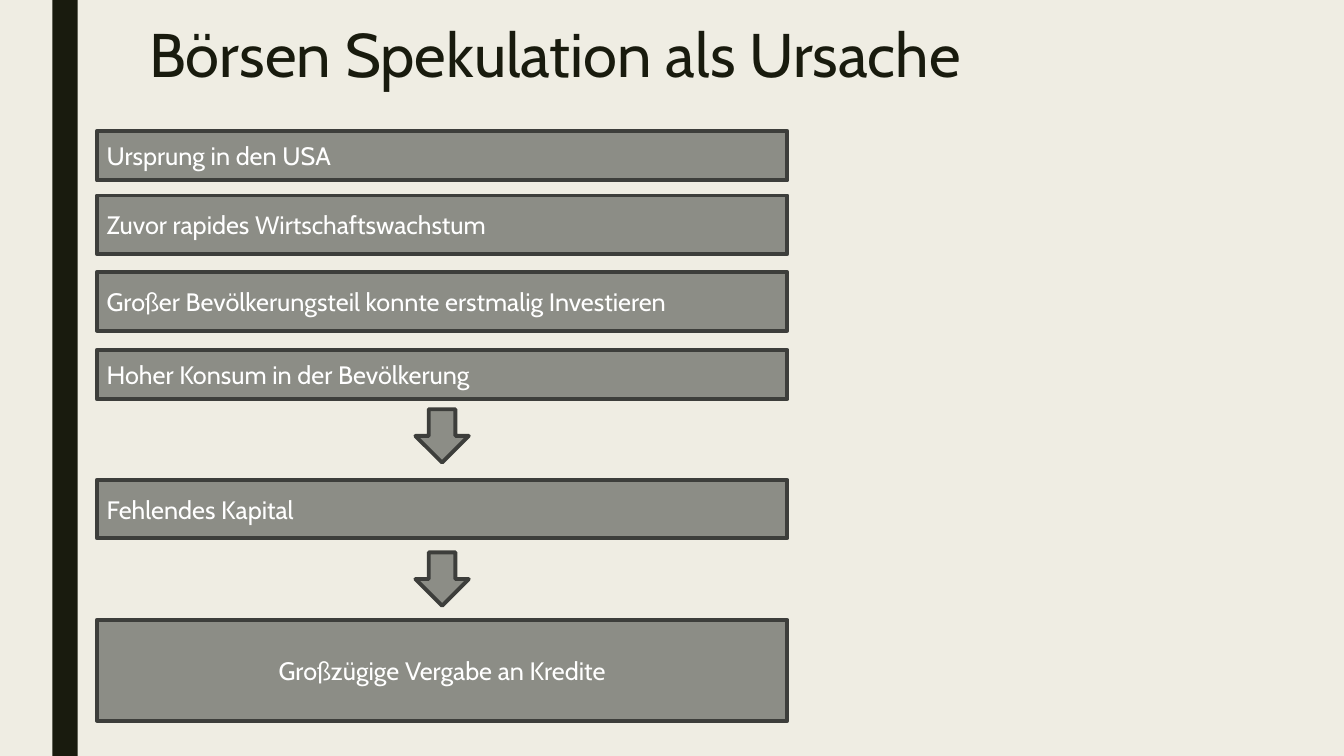
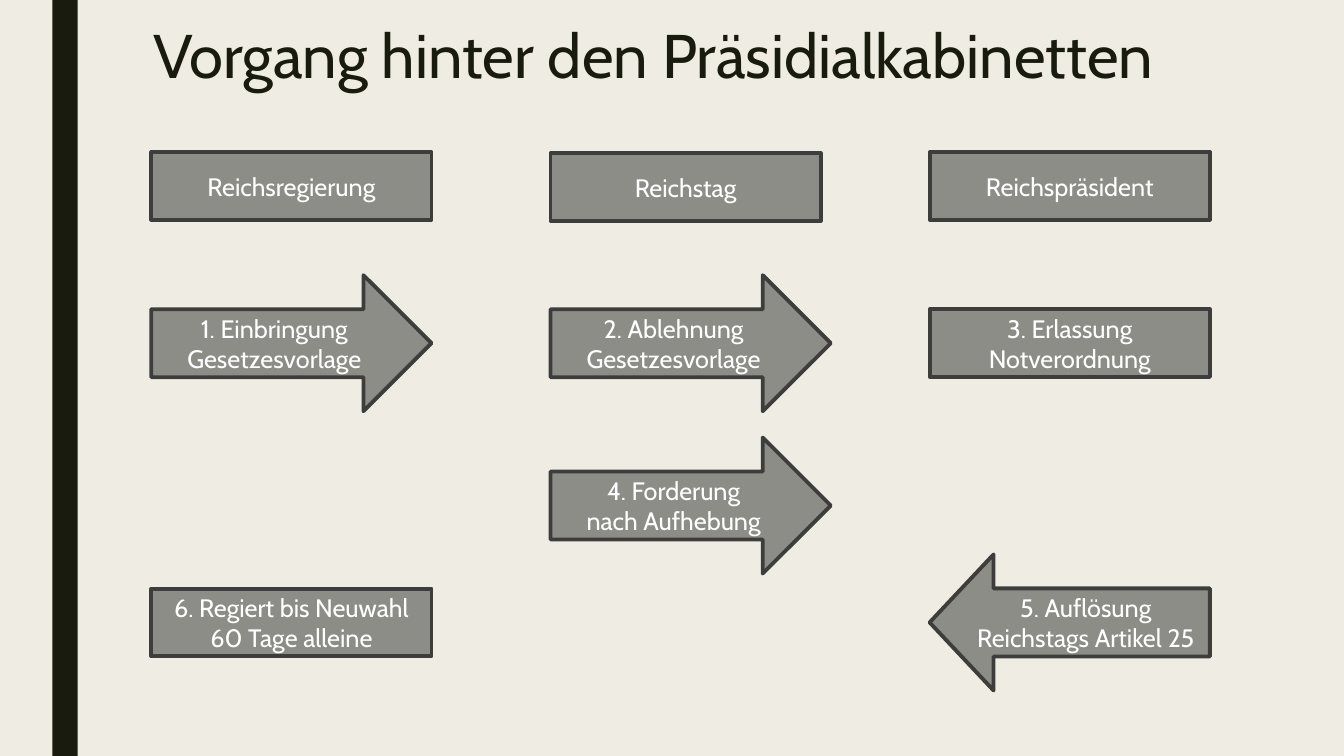
from dataclasses import dataclass

from pptx import Presentation
from pptx.dml.color import RGBColor
from pptx.enum.shapes import MSO_SHAPE
from pptx.enum.text import MSO_ANCHOR, PP_ALIGN
from pptx.util import Pt

EMU_PER_PX = 9144  # 100 px to the inch
PAGE_WIDTH, PAGE_HEIGHT = 1333, 750


@dataclass(frozen=True)
class Theme:
    background: RGBColor = RGBColor.from_string("EFEDE3")
    dark: RGBColor = RGBColor.from_string("191B0E")
    fill: RGBColor = RGBColor.from_string("8C8D86")
    outline: RGBColor = RGBColor.from_string("3D3E3B")
    light: RGBColor = RGBColor.from_string("FFFFFF")
    font: str = "Cabin"
    title_size: Pt = Pt(44)
    text_size: Pt = Pt(18)
    outline_width: Pt = Pt(2.75)


THEME = Theme()


def px(*lengths):
    return [length * EMU_PER_PX for length in lengths]


def format_text(frame, size, color, align):
    frame.word_wrap = True
    for para in frame.paragraphs:
        para.alignment = align
        for span in para.runs:
            span.font.name = THEME.font
            span.font.size = size
            span.font.color.rgb = color


def add_band(page, layout):
    """Set the background and side band on the layout all pages share."""
    background = layout.background.fill
    background.solid()
    background.fore_color.rgb = THEME.background
    band = page.shapes.add_shape(MSO_SHAPE.RECTANGLE, *px(52, 0, 25, PAGE_HEIGHT))
    band.shadow.inherit = False
    band.fill.solid()
    band.fill.fore_color.rgb = THEME.dark
    band.line.fill.background()
    band.element.nvSpPr.cNvPr.id = 20
    layout.element.cSld.spTree.append(band.element)


def set_title(page, text, left, top, width, height):
    title = page.shapes.title
    title.left, title.top, title.width, title.height = px(left, top, width, height)
    frame = title.text_frame
    frame.text = text
    frame.vertical_anchor = MSO_ANCHOR.TOP
    frame.paragraphs[0].line_spacing = 0.89
    format_text(frame, THEME.title_size, THEME.dark, PP_ALIGN.LEFT)


def add_box(page, kind, left, top, width, height, text="", align=PP_ALIGN.CENTER):
    box = page.shapes.add_shape(kind, *px(left, top, width, height))
    box.shadow.inherit = False
    box.fill.solid()
    box.fill.fore_color.rgb = THEME.fill
    box.line.color.rgb = THEME.outline
    box.line.width = THEME.outline_width
    if text:
        box.text_frame.text = text
        box.text_frame.vertical_anchor = MSO_ANCHOR.MIDDLE
        format_text(box.text_frame, THEME.text_size, THEME.light, align)
    return box


def build_causes(page):
    set_title(page, "Börsen Spekulation als Ursache", 138, 20, 858, 58)

    # Stacked statements
    for top, height, text, align in (
        (130, 49, "Ursprung in den USA", PP_ALIGN.LEFT),
        (194, 58, "Zuvor rapides Wirtschaftswachstum", PP_ALIGN.LEFT),
        (270, 58, "Großer Bevölkerungsteil konnte erstmalig Investieren", PP_ALIGN.LEFT),
        (347, 49, "Hoher Konsum in der Bevölkerung", PP_ALIGN.LEFT),
        (476, 58, "Fehlendes Kapital", PP_ALIGN.LEFT),
        (615, 100, "Großzügige Vergabe an Kredite", PP_ALIGN.CENTER),
    ):
        add_box(page, MSO_SHAPE.RECTANGLE, 96, top, 685, height, text, align)

    # Arrows between the stages
    for top in (406, 548):
        add_box(page, MSO_SHAPE.DOWN_ARROW, 412, top, 53, 53)


def build_process(page):
    set_title(page, "Vorgang hinter den Präsidialkabinetten", 142, 21, 1050, 90)
    government, parliament, president = 150, 546, 922
    width, box_height, arrow_height = 278, 67, 135

    # Institutions and plain steps
    for left, top, box_width, text in (
        (government, 151, width, "Reichsregierung"),
        (parliament, 152, width - 10, "Reichstag"),
        (president, 151, width, "Reichspräsident"),
        (president, 307, width, "3. Erlassung\nNotverordnung"),
        (government, 584, width, "6. Regiert bis Neuwahl\n60 Tage alleine"),
    ):
        add_box(page, MSO_SHAPE.RECTANGLE, left, top, box_width, box_height, text)

    # Steps that pass to the next institution
    for left, top, text in (
        (government, 273, "1. Einbringung Gesetzesvorlage"),
        (parliament, 273, "2. Ablehnung\nGesetzesvorlage"),
        (parliament, 434, "4. Forderung\nnach Aufhebung"),
    ):
        add_box(page, MSO_SHAPE.RIGHT_ARROW, left, top, width, arrow_height, text)

    # Step back to the government
    dissolution = add_box(page, MSO_SHAPE.LEFT_ARROW, president, 550, width, arrow_height,
                          "5. Auflösung Reichstags Artikel 25")
    dissolution.adjustments[1] = 0.47


def main():
    deck = Presentation()
    deck.slide_width, deck.slide_height = px(PAGE_WIDTH, PAGE_HEIGHT)
    layout = deck.slide_layouts[5]
    pages = [deck.slides.add_slide(layout) for _ in range(2)]
    add_band(pages[0], layout)
    build_causes(pages[0])
    build_process(pages[1])
    deck.save("out.pptx")


if __name__ == "__main__":
    main()
